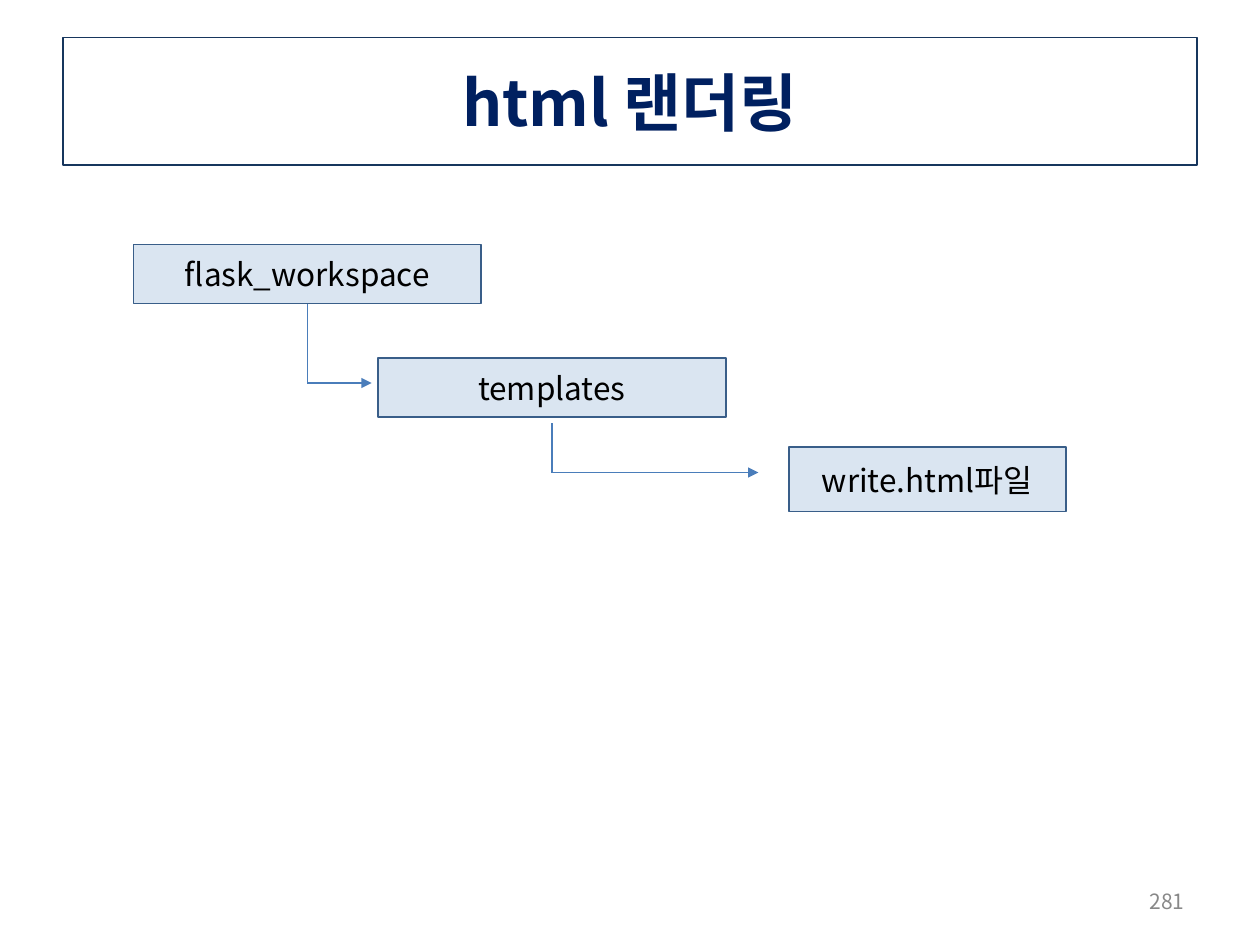
import pptx
import pptx.dml.color
import pptx.enum.shapes
import pptx.enum.text
import pptx.oxml.ns
import pptx.util
from lxml import etree
from pptx.util import Inches

FONT = "Noto Sans CJK KR"
ALIGN = pptx.enum.text.PP_ALIGN


def color(value):
    return pptx.dml.color.RGBColor.from_string(value)


def add_box(place, text, size, ink, fill=None, line=None, width=1, bold=False, align=ALIGN.CENTER):
    box = page.shapes.add_shape(pptx.enum.shapes.MSO_SHAPE.RECTANGLE, *map(Inches, place))
    box.shadow.inherit = False
    if fill:
        box.fill.solid()
        box.fill.fore_color.rgb = color(fill)
    else:
        box.fill.background()
    if line:
        box.line.color.rgb = color(line)
        box.line.width = pptx.util.Pt(width)
    else:
        box.line.fill.background()
    frame = box.text_frame
    frame.word_wrap = True
    frame.vertical_anchor = pptx.enum.text.MSO_ANCHOR.MIDDLE
    frame.text = text
    para = frame.paragraphs[0]
    para.alignment = align
    font = para.runs[0].font
    font.size = pptx.util.Pt(size)
    font.bold = bold
    font.color.rgb = color(ink)
    font.name = FONT
    # East Asian typeface for the Korean letters
    properties = para.runs[0]._r.get_or_add_rPr()
    etree.SubElement(properties, pptx.oxml.ns.qn("a:ea"), typeface=FONT)


deck = pptx.Presentation()
deck.slide_width, deck.slide_height = Inches(10), Inches(7.5)
page = deck.slides.add_slide(deck.slide_layouts[6])

# Title and page number
add_box((0.5, 0.3, 9, 1.01), "html 랜더링", 36, "002060", line="17365D", width=0.75, bold=True)
add_box((7.17, 6.95, 2.33, 0.4), "281", 12, "888888", align=ALIGN.RIGHT)

# Folder tree
folders = [
    ((1.06, 1.94, 2.76, 0.47), "flask_workspace"),
    ((3, 2.84, 2.76, 0.47), "templates"),
    ((6.26, 3.55, 2.2, 0.51), "write.html파일"),
]
for place, name in folders:
    add_box(place, name, 18, "000000", fill="DAE5F1", line="395E89")

# Branches: down from the parent, then right to the child with an arrowhead
branches = [(2.44, 2.41, 2.95, 3.04), (4.38, 3.36, 6.02, 3.75)]
for left, top, right, bottom in branches:
    for ends in ((left, top, left, bottom), (left, bottom, right, bottom)):
        branch = page.shapes.add_connector(
            pptx.enum.shapes.MSO_CONNECTOR.STRAIGHT, *map(Inches, ends))
        branch.line.color.rgb = color("4A7DBA")
        branch.line.width = pptx.util.Pt(0.75)
        etree.SubElement(branch._element.spPr, pptx.oxml.ns.qn("a:effectLst"))
    etree.SubElement(branch.line._get_or_add_ln(), pptx.oxml.ns.qn("a:tailEnd"), type="triangle")

deck.save("out.pptx")
